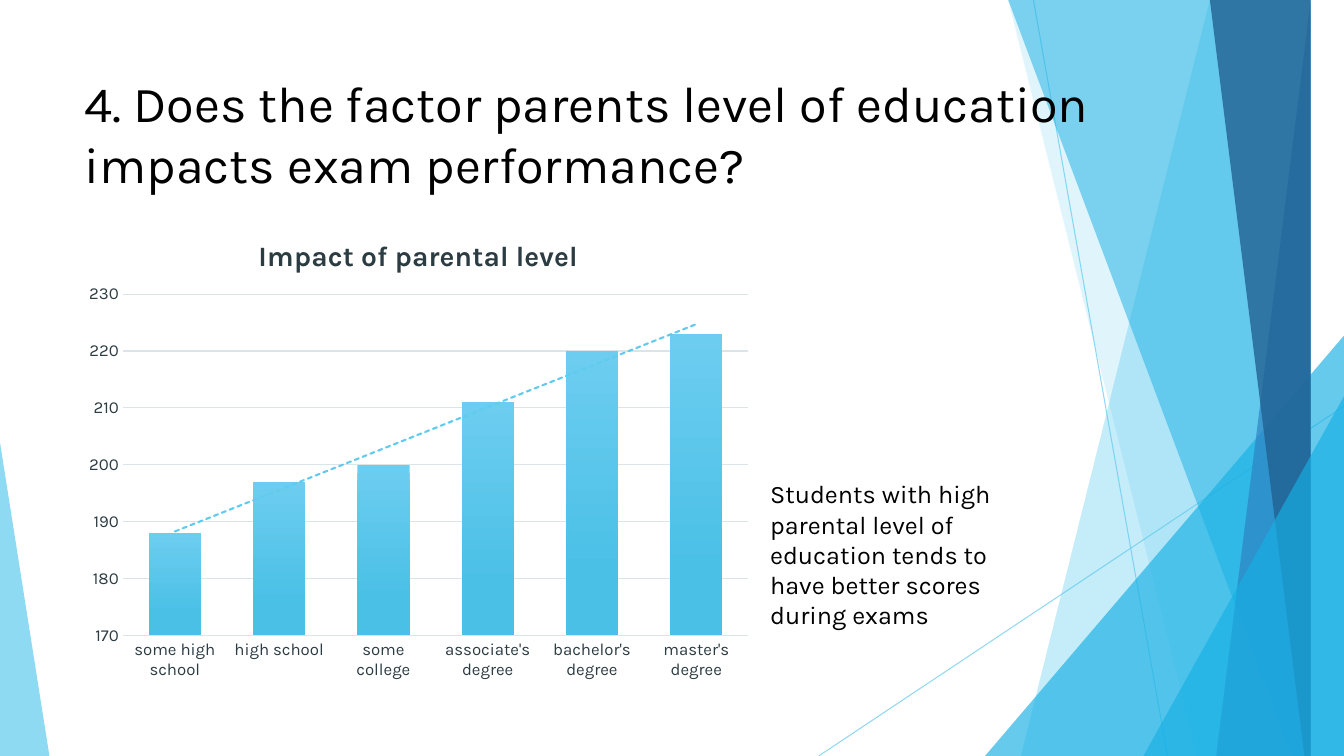
from dataclasses import dataclass

import pptx
import pptx.chart.axis
import pptx.chart.data
import pptx.dml.color
import pptx.enum.chart
import pptx.enum.shapes
import pptx.enum.text
import pptx.oxml
import pptx.oxml.ns
import pptx.oxml.xmlchemy
import pptx.shapes.base
import pptx.shapes.shapetree
import pptx.slide
import pptx.text.text
import pptx.util

Inches = pptx.util.Inches
qn = pptx.oxml.ns.qn

WIDTH, HEIGHT, BAND_TOP = 13.33, 7.5, -0.01


@dataclass(frozen=True)
class Theme:
    font: str = "Karla"
    black: str = "000000"
    label: str = "2C3C43"
    grid: str = "DBE4E7"
    sky: str = "5FCBEF"
    cyan: str = "17B0E4"
    blue: str = "2E83C3"
    navy: str = "226292"
    bar_top: str = "6CCDF0"
    bar_bottom: str = "4BC0E6"
    title_size: float = 36
    body_size: float = 18
    chart_title_size: float = 20
    axis_size: float = 12
    hairline: float = 0.75


THEME = Theme()


@dataclass(frozen=True)
class Ray:
    start: tuple[float, float]
    end: tuple[float, float]


@dataclass(frozen=True)
class Band:
    top_left: float
    bottom_left: float
    color: str
    opacity: int


@dataclass(frozen=True)
class Corner:
    left: float
    top: float
    width: float
    apex: float
    color: str
    opacity: int


@dataclass(frozen=True)
class Caption:
    left: float
    top: float
    width: float
    height: float
    size: float
    text: str


DECORATION = [
    Ray((10.25, 0), (11.58, HEIGHT)),
    Ray((WIDTH, 4.03), (8.12, HEIGHT)),
    Band(12.28, 10.04, THEME.sky, 36),
    Band(10.5, 11.83, THEME.sky, 20),
    Corner(9.77, 3.33, 3.56, 1, THEME.cyan, 66),
    Band(10.21, 12.91, THEME.cyan, 50),
    Band(13.03, 11.92, THEME.blue, 70),
    Band(11.96, 13.18, THEME.navy, 80),
    Corner(11.34, 3.93, 1.99, 1, THEME.cyan, 66),
    Corner(0, 4.39, 0.49, 0, THEME.sky, 70),
]
TITLE = Caption(0.74, 0.67, 10.95, 1.44, THEME.title_size,
                "4. Does the factor parents level of education impacts exam performance?")
FINDING = Caption(7.54, 4.7, 2.74, 1.62, THEME.body_size,
                  "Students with high parental level of education tends to have better scores during exams")
SCORES = {
    "some high school": 188,
    "high school": 197,
    "some college": 200,
    "associate's degree": 211,
    "bachelor's degree": 220,
    "master's degree": 223,
}


def rgb(color: str) -> pptx.dml.color.RGBColor:
    return pptx.dml.color.RGBColor.from_string(color)


def set_opacity(shape: pptx.shapes.base.BaseShape, opacity: int) -> None:
    color = next(shape._element.iter(qn("a:srgbClr")))
    alpha = pptx.oxml.xmlchemy.OxmlElement("a:alpha")
    alpha.set("val", str(opacity * 1000))
    color.append(alpha)


def style_font(font: pptx.text.text.Font, size: float, color: str, bold: bool = False) -> None:
    font.name = THEME.font
    font.size = pptx.util.Pt(size)
    font.bold = bold
    font.color.rgb = rgb(color)


def draw_ray(shapes: pptx.shapes.shapetree.SlideShapes, ray: Ray) -> None:
    points = [Inches(value) for value in (*ray.start, *ray.end)]
    connector = shapes.add_connector(pptx.enum.shapes.MSO_CONNECTOR.STRAIGHT, *points)
    connector.line.color.rgb = rgb(THEME.sky)
    connector.line.width = pptx.util.Pt(THEME.hairline)
    set_opacity(connector, 70)
    connector._element.spPr.append(pptx.oxml.xmlchemy.OxmlElement("a:effectLst"))


def draw_facet(shapes: pptx.shapes.shapetree.SlideShapes, facet: Band | Corner) -> None:
    if isinstance(facet, Band):
        builder = shapes.build_freeform(facet.top_left, BAND_TOP, scale=float(Inches(1)))
        builder.add_line_segments([(WIDTH, BAND_TOP), (WIDTH, HEIGHT), (facet.bottom_left, HEIGHT)])
        shape = builder.convert_to_shape()
    else:
        shape = shapes.add_shape(
            pptx.enum.shapes.MSO_SHAPE.ISOSCELES_TRIANGLE,
            Inches(facet.left), Inches(facet.top), Inches(facet.width), Inches(HEIGHT - facet.top))
        shape.adjustments[0] = facet.apex
    shape.shadow.inherit = False
    shape.fill.solid()
    shape.fill.fore_color.rgb = rgb(facet.color)
    shape.line.fill.background()
    set_opacity(shape, facet.opacity)


def draw_caption(shapes: pptx.shapes.shapetree.SlideShapes, caption: Caption) -> None:
    shape = shapes.add_textbox(
        Inches(caption.left), Inches(caption.top), Inches(caption.width), Inches(caption.height))
    shape.text_frame.word_wrap = True
    shape.text_frame.vertical_anchor = pptx.enum.text.MSO_ANCHOR.TOP
    run = shape.text_frame.paragraphs[0].add_run()
    run.text = caption.text
    style_font(run.font, caption.size, THEME.black)


def style_axis_line(line_format: pptx.dml.line.LineFormat) -> None:
    line_format.color.rgb = rgb(THEME.grid)
    line_format.width = pptx.util.Pt(THEME.hairline)


def place(parent: pptx.oxml.xmlchemy.BaseOxmlElement, following: str, target: str, **box: float) -> None:
    for stale in parent.findall(qn("c:layout")):
        parent.remove(stale)
    settings = {"layoutTarget": target} if target else {}
    settings |= {"xMode": "edge", "yMode": "edge", **box}
    body = "".join(f'<c:{name} val="{value}"/>' for name, value in settings.items())
    layout = pptx.oxml.parse_xml(
        f'<c:layout {pptx.oxml.ns.nsdecls("c")}><c:manualLayout>{body}</c:manualLayout></c:layout>')
    parent.find(qn(following)).addprevious(layout)


def draw_chart(shapes: pptx.shapes.shapetree.SlideShapes) -> None:
    data = pptx.chart.data.CategoryChartData(number_format="0")
    data.categories = list(SCORES)
    data.add_series("Series 1", list(SCORES.values()))
    chart = shapes.add_chart(
        pptx.enum.chart.XL_CHART_TYPE.COLUMN_CLUSTERED,
        Inches(0.74), Inches(2.06), Inches(6.82), Inches(4.77), data).chart
    chart.has_legend = False
    style_font(chart.font, 10, THEME.black)

    run = chart.chart_title.text_frame.paragraphs[0].add_run()
    run.text = "Impact of parental level"
    style_font(run.font, THEME.chart_title_size, THEME.label, bold=True)
    place(chart.chart_title._element, "c:overlay", "", x=0.26, y=0.05)
    place(chart._chartSpace.chart.plotArea, "c:barChart", "inner", x=0.07, y=0.18, w=0.91, h=0.71)

    for axis in (chart.category_axis, chart.value_axis):
        axis.major_tick_mark = pptx.enum.chart.XL_TICK_MARK.NONE
        style_font(axis.tick_labels.font, THEME.axis_size, THEME.label)
    style_axis_line(chart.category_axis.format.line)
    scale = chart.value_axis
    scale.minimum_scale, scale.maximum_scale, scale.major_unit = 170, 230, 10
    scale.format.line.fill.background()
    style_axis_line(scale.major_gridlines.format.line)

    plot = chart.plots[0]
    plot.gap_width, plot.overlap, plot.vary_by_categories = 100, -24, False
    series = plot.series[0]
    fill = series.format.fill
    fill.gradient()
    fill.gradient_angle = 270
    for stop, position, color in zip(fill.gradient_stops, (0, 0.78), (THEME.bar_top, THEME.bar_bottom)):
        stop.position = position
        stop.color.rgb = rgb(color)
    trend = pptx.oxml.parse_xml(
        f'<c:trendline {pptx.oxml.ns.nsdecls("c", "a")}><c:spPr><a:ln w="{pptx.util.Pt(1.5)}" cap="rnd">'
        f'<a:solidFill><a:srgbClr val="{THEME.sky}"/></a:solidFill><a:prstDash val="sysDash"/></a:ln></c:spPr>'
        '<c:trendlineType val="linear"/><c:dispRSqr val="0"/><c:dispEq val="0"/></c:trendline>')
    series._element.find(qn("c:cat")).addprevious(trend)


def main() -> None:
    presentation = pptx.Presentation()
    presentation.slide_width, presentation.slide_height = Inches(WIDTH), Inches(HEIGHT)
    slide = presentation.slides.add_slide(presentation.slide_layouts[6])
    for item in DECORATION:
        if isinstance(item, Ray):
            draw_ray(slide.shapes, item)
        else:
            draw_facet(slide.shapes, item)
    draw_caption(slide.shapes, TITLE)
    draw_chart(slide.shapes)
    draw_caption(slide.shapes, FINDING)
    presentation.save("out.pptx")


if __name__ == "__main__":
    main()
